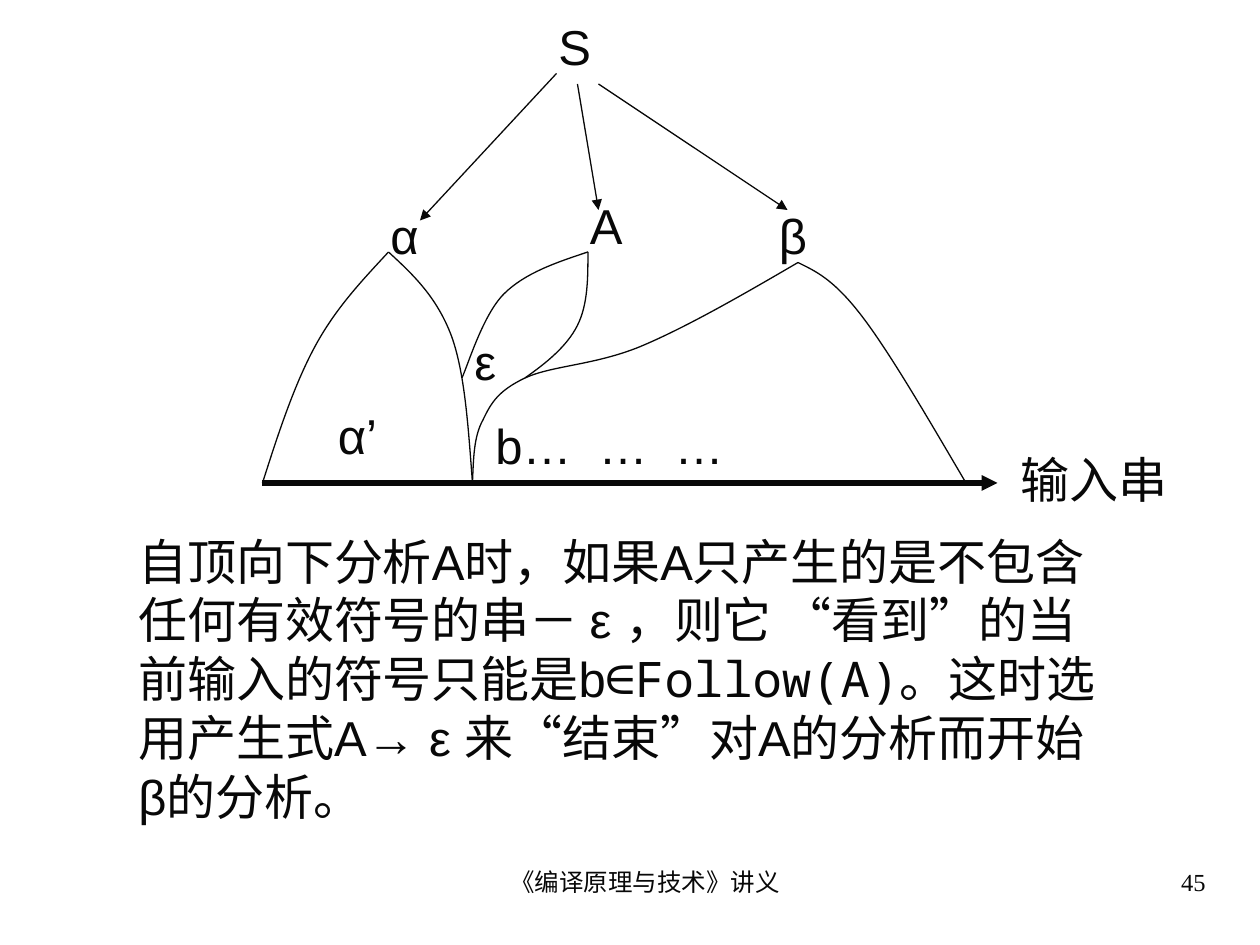
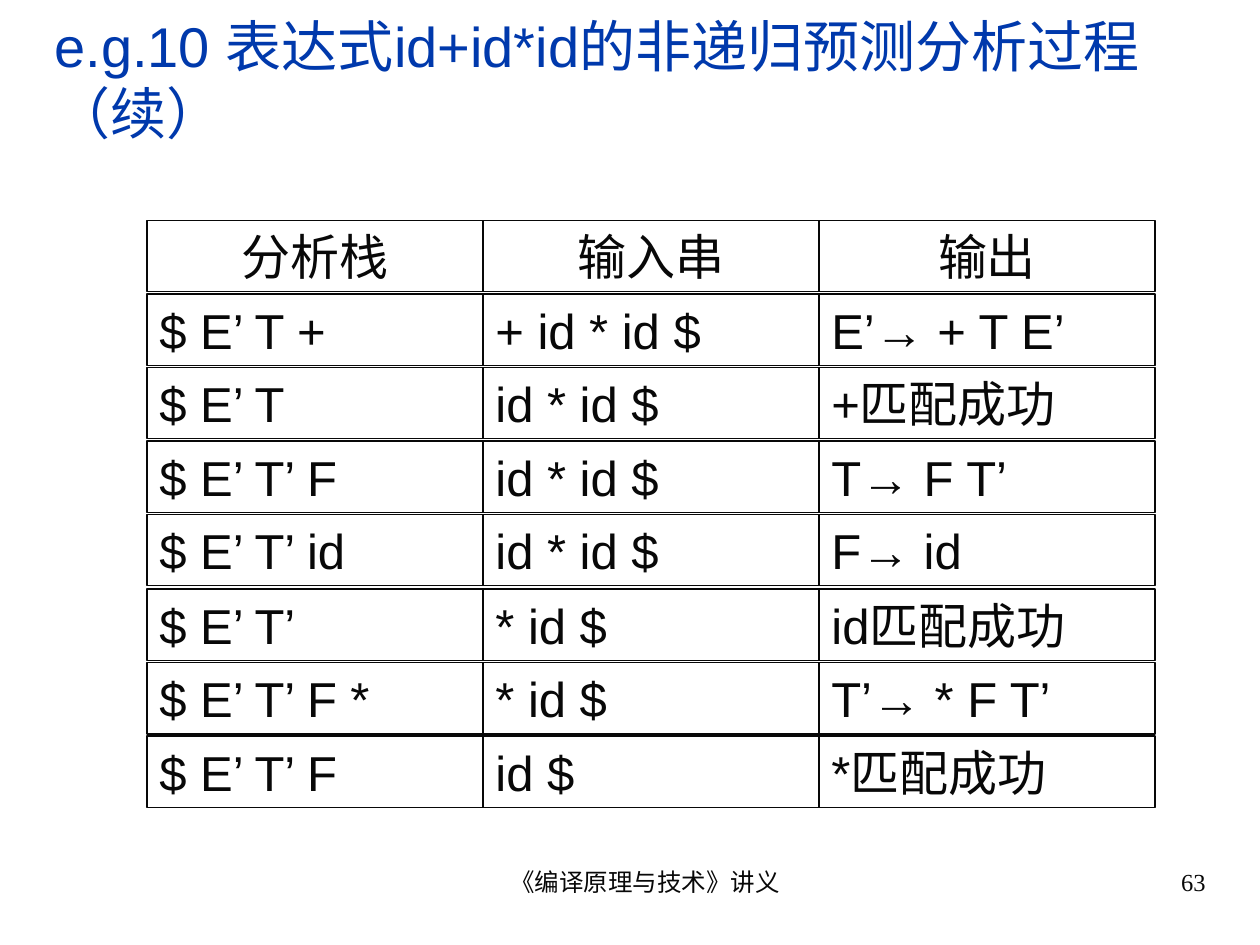
from dataclasses import dataclass
from typing import Any, NamedTuple

from lxml import etree
from pptx import Presentation
from pptx import util as u
from pptx.dml.color import RGBColor
from pptx.enum import shapes, text
from pptx.oxml import ns

PX = 7620  # EMU per px, 120 px to the inch


@dataclass(frozen=True)
class Theme:
    ink: RGBColor = RGBColor(0x08, 0x08, 0x08)
    title: RGBColor = RGBColor(0x00, 0x39, 0xAC)
    sans: str = "Arial"
    cjk: str = "Noto Sans CJK SC"
    mono: str = "Noto Sans Mono"
    serif: str = "Times New Roman"
    title_size: int = 32
    body_size: int = 28
    footer_size: int = 14
    thin: float = 0.75
    axis: float = 3


THEME = Theme()


class Box(NamedTuple):
    left: int
    top: int
    width: int
    height: int


class Run(NamedTuple):
    text: str
    font: str = THEME.sans
    east_asian: str = THEME.cjk


class Style(NamedTuple):
    size: int = THEME.body_size
    color: RGBColor = THEME.ink
    align: Any = text.PP_ALIGN.LEFT
    anchor: Any = text.MSO_ANCHOR.TOP
    indent: int = 0


class Label(NamedTuple):
    text: str
    box: Box


class Arrow(NamedTuple):
    start: tuple[int, int]
    end: tuple[int, int]
    width: float = THEME.thin


BODY = Style()
HEADER = Style(align=text.PP_ALIGN.CENTER)
TITLE = Style(THEME.title_size, THEME.title, anchor=text.MSO_ANCHOR.MIDDLE)
FOOTER = Style(THEME.footer_size, align=text.PP_ALIGN.CENTER, indent=29)
PAGE_NUMBER = FOOTER._replace(align=text.PP_ALIGN.RIGHT)


# Shared helpers
def apply(target: Any, values: dict[str, Any]) -> None:
    for name, value in values.items():
        setattr(target, name, value)


def emu(box: Box) -> list[int]:
    return [length * PX for length in box]


def set_line(line: Any, width: float) -> None:
    line.color.rgb = THEME.ink
    line.width = u.Pt(width)


def write(shape: Any, runs: list[Run], style: Style) -> None:
    frame = shape.text_frame
    apply(frame, {
        "word_wrap": True, "vertical_anchor": style.anchor,
        "margin_left": 12 * PX, "margin_right": 12 * PX,
        "margin_top": 6 * PX, "margin_bottom": 6 * PX,
    })
    paragraph = frame.paragraphs[0]
    paragraph.alignment = style.align
    if style.indent:
        properties = paragraph._p.get_or_add_pPr()
        properties.set("marL", str(style.indent * PX))
        properties.set("indent", "0")
    for part in runs:
        run = paragraph.add_run()
        run.text = part.text
        apply(run.font, {"name": part.font, "size": u.Pt(style.size)})
        run.font.color.rgb = style.color
        east_asian = etree.SubElement(run.font._element, ns.qn("a:ea"))
        east_asian.set("typeface", part.east_asian)


def add_text(slide: Any, box: Box, runs: list[Run], style: Style = BODY) -> None:
    write(slide.shapes.add_textbox(*emu(box)), runs, style)


def add_arrow(slide: Any, arrow: Arrow) -> None:
    ends = [value * PX for value in (*arrow.start, *arrow.end)]
    connector = slide.shapes.add_connector(shapes.MSO_CONNECTOR.STRAIGHT, *ends)
    set_line(connector.line, arrow.width)
    properties = connector.element.spPr
    outline = properties.find(ns.qn("a:ln"))
    etree.SubElement(outline, ns.qn("a:tailEnd")).set("type", "triangle")
    etree.SubElement(properties, ns.qn("a:effectLst"))


def add_curve(slide: Any, points: list[tuple[int, int]]) -> None:
    """Draw cubic curves: a start, then two controls and an end for each."""
    builder = slide.shapes.build_freeform(*points[0], scale=PX)
    builder.add_line_segments(points[1:], close=False)
    shape = builder.convert_to_shape()
    shape.shadow.inherit = False
    shape.fill.background()
    set_line(shape.line, THEME.thin)
    segments = list(shape.element.iter(ns.qn("a:lnTo")))
    for first in range(0, len(segments), 3):
        curve = etree.Element(ns.qn("a:cubicBezTo"))
        segments[first].addprevious(curve)
        for segment in segments[first:first + 3]:
            curve.append(segment[0])
            segment.getparent().remove(segment)


def add_cell(slide: Any, box: Box, value: str, style: Style) -> None:
    shape = slide.shapes.add_shape(shapes.MSO_SHAPE.RECTANGLE, *emu(box))
    shape.shadow.inherit = False
    shape.fill.background()
    set_line(shape.line, THEME.thin)
    write(shape, [Run(value)], style)


def add_grid(slide: Any, area: Box, gap: int, rows: list[tuple[str, ...]]) -> None:
    """Draw separate framed cells, with a gap between the rows."""
    pitch = (area.height + gap) / len(rows)
    width = area.width // len(rows[0])
    for r, values in enumerate(rows):
        top = area.top + round(r * pitch)
        for c, value in enumerate(values):
            box = Box(area.left + c * width, top, width, round(pitch) - gap)
            add_cell(slide, box, value, BODY if r else HEADER)


def add_slide(presentation: Any, number: int) -> Any:
    slide = presentation.slides.add_slide(presentation.slide_layouts[6])
    add_text(slide, Box(410, 820, 380, 62),
             [Run("《编译原理与技术》讲义", THEME.serif)], FOOTER)
    add_text(slide, Box(860, 820, 300, 62),
             [Run(str(number), THEME.serif)], PAGE_NUMBER)
    return slide


# Slide content
EXPLANATION = [
    Run("自顶向下分析A时，如果A只产生的是不包含任何有效符号的串－ ε ，"
        "则它 “看到”的当前输入的符号只能是b"),
    Run("∈Follow(A)", THEME.mono, THEME.mono),
    Run("。这时选用产生式", THEME.cjk),
    Run("A→ ε 来“结束”对A的分析而开始β的分析。"),
]
TREE_LABELS = [
    Label("S", Box(520, 10, 150, 68)),
    Label("α", Box(360, 190, 120, 68)),
    Label("β", Box(730, 190, 120, 68)),
    Label("A", Box(550, 180, 120, 68)),
    Label("α’", Box(310, 380, 110, 68)),
    Label("输入串", Box(960, 422, 180, 68)),
    Label("b…  …  …", Box(460, 390, 270, 68)),
    Label("ε", Box(440, 310, 110, 68)),
]
TREE_ARROWS = [
    Arrow((530, 70), (400, 210)),
    Arrow((550, 80), (570, 200)),
    Arrow((570, 80), (750, 200)),
    Arrow((250, 460), (950, 460), THEME.axis),
]
SUBTREE_CURVES = [
    # α, left and right
    [(370, 240), (346, 266), (320, 293), (300, 330),
     (280, 367), (265, 413), (250, 460)],
    [(370, 240), (394, 262), (416, 283), (430, 320),
     (443, 356), (446, 408), (450, 460)],
    # β, right and left
    [(760, 250), (776, 258), (793, 265), (820, 300),
     (847, 335), (883, 397), (920, 460)],
    [(450, 460), (451, 438), (451, 416), (460, 400),
     (468, 383), (475, 372), (500, 360), (526, 348), (566, 348), (610, 330),
     (653, 312), (707, 281), (760, 250)],
    # A, left and right
    [(560, 240), (530, 250), (500, 260), (480, 280),
     (460, 300), (446, 347), (440, 360)],
    [(560, 240), (560, 265), (560, 290), (550, 310),
     (540, 330), (520, 346), (500, 360)],
]
PARSE_STEPS = [
    ("分析栈", "输入串", "输出"),
    ("$ E’ T +", "+ id * id $", "E’→ + T E’"),
    ("$ E’ T", "id * id $", "+匹配成功"),
    ("$ E’ T’ F", "id * id $", "T→ F T’"),
    ("$ E’ T’ id", "id * id $", "F→ id"),
    ("$ E’ T’", "* id $", "id匹配成功"),
    ("$ E’ T’ F *", "* id $", "T’→ * F T’"),
    ("$ E’ T’ F", "id $", "*匹配成功"),
]


def build_tree_slide(presentation: Any) -> None:
    slide = add_slide(presentation, 45)
    add_text(slide, Box(120, 500, 950, 293), EXPLANATION)
    for label in TREE_LABELS:
        add_text(slide, label.box, [Run(label.text)])
    for arrow in TREE_ARROWS:
        add_arrow(slide, arrow)
    for points in SUBTREE_CURVES:
        add_curve(slide, points)


def build_steps_slide(presentation: Any) -> None:
    slide = add_slide(presentation, 63)
    add_text(slide, Box(40, 30, 1120, 90),
             [Run("e.g.10 表达式id+id*id的非递归预测分析过程（续）")], TITLE)
    add_grid(slide, Box(140, 210, 960, 559), 2, PARSE_STEPS)


def main() -> None:
    presentation = Presentation()
    apply(presentation, {"slide_width": 1200 * PX, "slide_height": 900 * PX})
    build_tree_slide(presentation)
    build_steps_slide(presentation)
    presentation.save("out.pptx")


if __name__ == "__main__":
    main()
